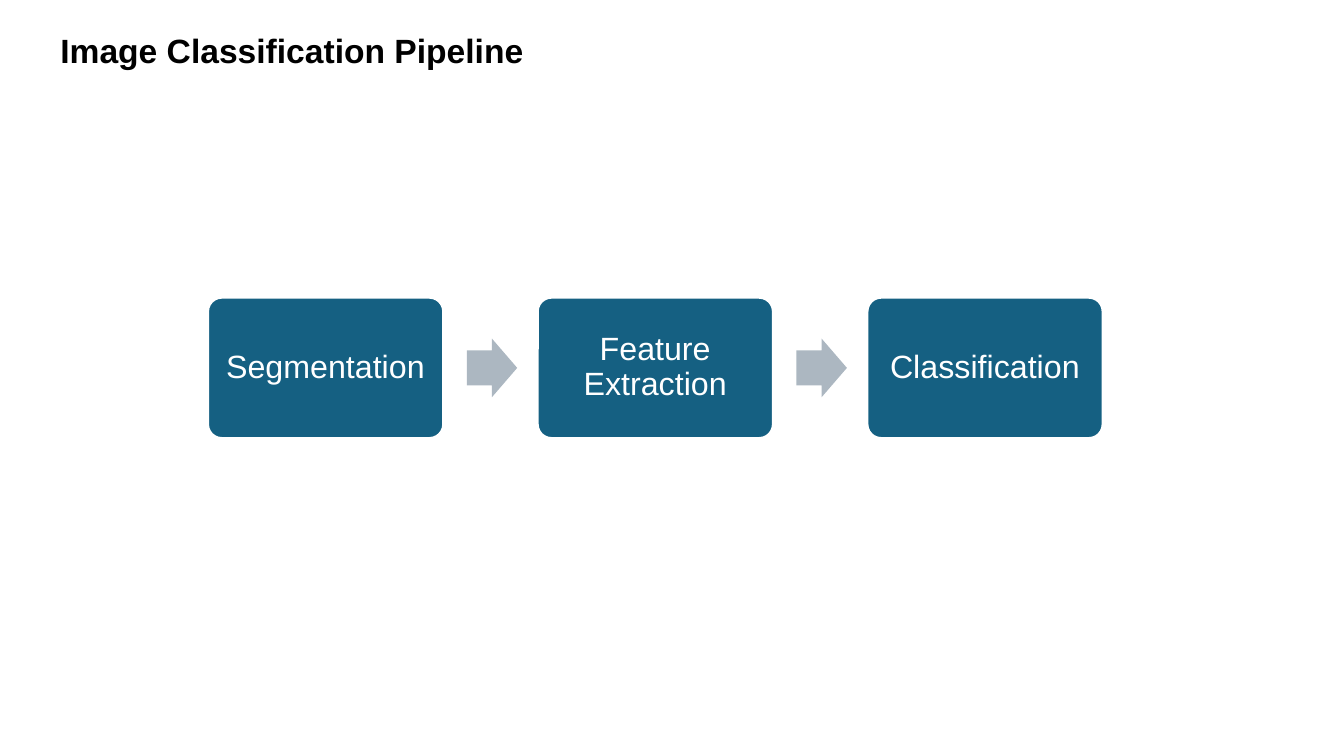
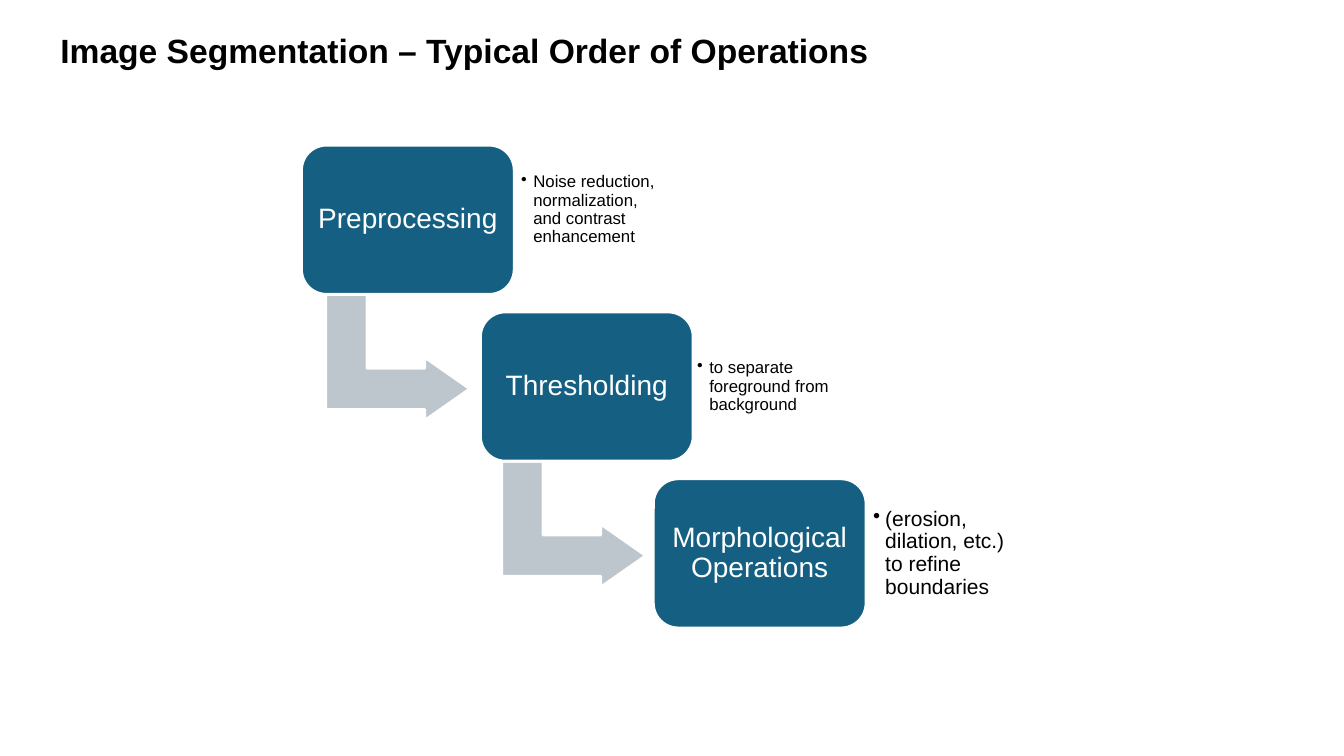
from dataclasses import dataclass

from lxml import etree
from pptx import Presentation
from pptx.dml.color import RGBColor
from pptx.enum.shapes import MSO_SHAPE
from pptx.enum.text import MSO_ANCHOR, PP_ALIGN
from pptx.oxml.ns import qn
from pptx.util import Inches, Pt

ROUND = MSO_SHAPE.ROUNDED_RECTANGLE
RIGHT = MSO_SHAPE.RIGHT_ARROW
BENT = MSO_SHAPE.BENT_UP_ARROW
TOP = MSO_ANCHOR.TOP
MIDDLE = MSO_ANCHOR.MIDDLE
LEFT = PP_ALIGN.LEFT
CENTER = PP_ALIGN.CENTER


@dataclass(frozen=True)
class Theme:
    font: str = "Arial"
    ink: str = "000000"
    paper: str = "FFFFFF"
    box: str = "156082"
    arrow: str = "ACB7C1"
    bend: str = "BDC5CD"
    edge: float = 2
    title: int = 24
    flow: int = 23
    step: int = 20


THEME = Theme()


def rgb(code):
    return RGBColor.from_string(code)


def add_run(para, text, size, color, bold=False):
    run = para.add_run()
    run.text = text
    font = run.font
    font.name = THEME.font
    font.size = Pt(size)
    font.bold = bold
    font.color.rgb = rgb(color)


def set_frame(frame, inset, anchor=MIDDLE):
    frame.word_wrap = True
    frame.vertical_anchor = anchor
    frame.margin_left = frame.margin_right = Inches(inset)
    frame.margin_top = frame.margin_bottom = Inches(inset)


def add_bullet(para, indent):
    props = para._p.get_or_add_pPr()
    props.set("marL", str(Inches(indent)))
    props.set("indent", str(-Inches(indent)))
    color = etree.SubElement(props, qn("a:buClr"))
    etree.SubElement(color, qn("a:srgbClr")).set("val", THEME.ink)
    etree.SubElement(props, qn("a:buChar")).set("char", "•")


def add_form(slide, kind, box, fill, adjust, edge=True):
    form = slide.shapes.add_shape(kind, *map(Inches, box))
    form.shadow.inherit = False
    form.fill.solid()
    form.fill.fore_color.rgb = rgb(fill)
    if edge:
        form.line.color.rgb = rgb(THEME.paper)
        form.line.width = Pt(THEME.edge)
    else:
        form.line.fill.background()
    for index, value in enumerate(adjust):
        form.adjustments[index] = value
    return form


def add_card(slide, box, text, size, corner, inset):
    card = add_form(slide, ROUND, box, THEME.box, [corner])
    set_frame(card.text_frame, inset)
    para = card.text_frame.paragraphs[0]
    para.alignment = CENTER
    para.line_spacing = 0.9
    add_run(para, text, size, THEME.paper)


def add_note(slide, box, text, size):
    frame = slide.shapes.add_textbox(*map(Inches, box)).text_frame
    set_frame(frame, 0.07)
    para = frame.paragraphs[0]
    add_bullet(para, 0.12)
    para.line_spacing = 0.9
    para.alignment = LEFT
    add_run(para, text, size, THEME.ink)


def add_page(deck, title):
    slide = deck.slides.add_slide(deck.slide_layouts[6])
    box = (0.5, 0.25, 12.39, 0.5)
    frame = slide.shapes.add_textbox(*map(Inches, box)).text_frame
    set_frame(frame, 0.05, TOP)
    frame.margin_left = frame.margin_right = Inches(0.1)
    add_run(frame.paragraphs[0], title, THEME.title, THEME.ink, True)
    return slide


def draw_flow(slide, box, names):
    left, top, width, height = box
    wide = 2.34
    pitch = (width - wide) / (len(names) - 1)
    tall = 0.58
    for index, name in enumerate(names):
        x = left + index * pitch
        if index:
            spot = (x - 0.7, top + (height - tall) / 2, 0.5, tall)
            add_form(slide, RIGHT, spot, THEME.arrow, [0.6, 0.5], False)
        add_card(slide, (x, top, wide, height), name, THEME.flow, 0.1, 0.1)


def draw_stairs(slide, box, steps):
    left, top, width, height = box
    wide, tall = 2.11, 1.48
    span, deep = 1.53, 1.19
    last = len(steps) - 1
    across = (width - wide - span) / last
    down = (height - tall) / last
    for index, (name, nudge, note, size, lift) in enumerate(steps):
        x = left + index * across
        y = top + index * down
        if index < last:
            spot = (x + 0.33, y + 1.39, 1.25, 1.43)
            bend = add_form(slide, BENT, spot, THEME.bend, [0.328, 0.25, 0.358])
            bend.rotation = 90
        card = (x + nudge, y, wide, tall)
        add_card(slide, card, name, THEME.step, 0.167, 0.07)
        spot = (x + wide, y + (tall - deep) / 2 - lift, span, deep)
        add_note(slide, spot, note, size)


def main():
    deck = Presentation()
    deck.slide_width = Inches(13.33)
    deck.slide_height = Inches(7.5)

    slide = add_page(deck, "Image Classification Pipeline")
    names = ["Segmentation", "Feature Extraction", "Classification"]
    draw_flow(slide, (2.06, 2.95, 8.88, 1.4), names)

    slide = add_page(deck, "Image Segmentation – Typical Order of Operations")
    steps = [
        ("Preprocessing", 0,
         "Noise reduction, normalization, and contrast enhancement", 12, 0.1),
        ("Thresholding", 0.03,
         "to separate foreground from background", 12, 0),
        ("Morphological Operations", 0,
         "(erosion, dilation, etc.) to refine boundaries", 15, 0),
    ]
    draw_stairs(slide, (2.99, 1.44, 7.13, 4.79), steps)
    deck.save("out.pptx")


if __name__ == "__main__":
    main()
